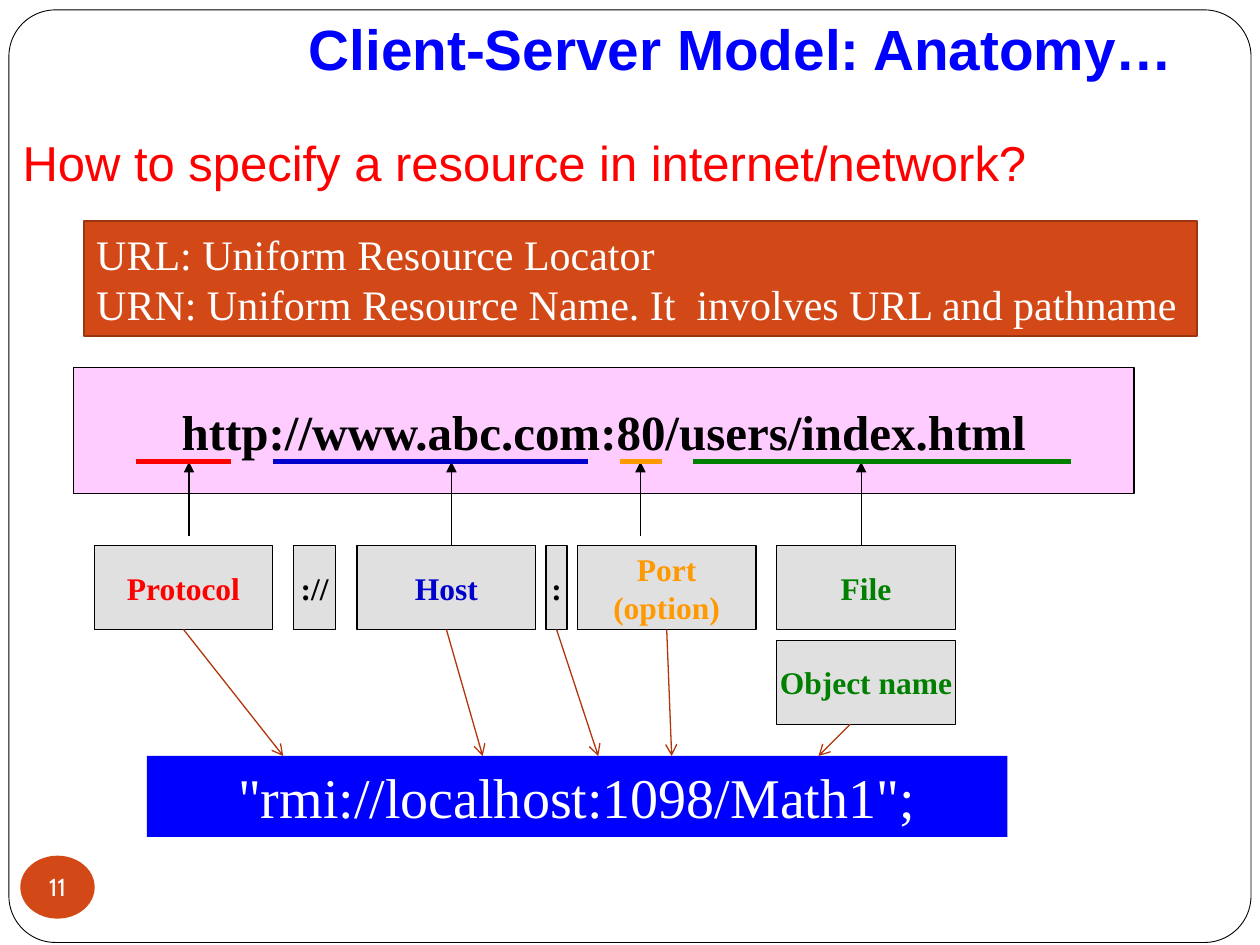
from dataclasses import dataclass

from lxml import etree
from pptx import Presentation
from pptx import util as u
from pptx.dml.color import RGBColor
from pptx.enum import shapes, text
from pptx.oxml.ns import qn


@dataclass(frozen=True)
class Theme:
    sans: str = "Arial"
    serif: str = "Times New Roman"
    badge_font: str = "Cabin"
    white: str = "FFFFFF"
    black: str = "000000"
    blue: str = "0000FF"
    red: str = "FF0000"
    host: str = "0000CC"
    port: str = "FF9900"
    file: str = "008000"
    pink: str = "FFCCFF"
    grey: str = "E1E0E0"
    rust: str = "D34817"
    rust_edge: str = "9C3511"
    rust_arrow: str = "B1360B"
    title_size: float = 32.4
    example_size: int = 32
    url_size: int = 28
    note_size: int = 24
    part_size: int = 18
    badge_size: int = 14
    thin: float = 0.75
    thick: float = 3


T = Theme()
ALIGN = text.PP_ALIGN
RECT = shapes.MSO_SHAPE.RECTANGLE


def rgb(value):
    return RGBColor.from_string(value)


def place(sp, box):
    sp.left, sp.top, sp.width, sp.height = map(u.Cm, box)


def set_text(sp, words, size, color, font=T.serif, bold=False, align=ALIGN.CENTER,
             anchor=text.MSO_ANCHOR.MIDDLE, wrap=True):
    tf = sp.text_frame
    tf.text = words
    tf.word_wrap = wrap
    tf.auto_size = text.MSO_AUTO_SIZE.NONE
    tf.vertical_anchor = anchor
    for p in tf.paragraphs:
        p.alignment = align
        for r in p.runs:
            r.font.name, r.font.size, r.font.bold = font, u.Pt(size), bold
            r.font.color.rgb = rgb(color)


def add_box(s, box, fill, line=None, width=T.thin, kind=RECT):
    sp = s.shapes.add_shape(kind, *map(u.Cm, box))
    sp.shadow.inherit = False
    sp.fill.solid()
    sp.fill.fore_color.rgb = rgb(fill)
    if line:
        sp.line.color.rgb = rgb(line)
        sp.line.width = u.Pt(width)
    else:
        sp.line.fill.background()
    return sp


def add_line(s, start, end, color, width=T.thin, head=None):
    c = s.shapes.add_connector(shapes.MSO_CONNECTOR.STRAIGHT, *map(u.Cm, start + end))
    c.line.color.rgb = rgb(color)
    c.line.width = u.Pt(width)
    if head:
        etree.SubElement(c.line._get_or_add_ln(), qn("a:tailEnd"), type=head)
    etree.SubElement(c._element.spPr, qn("a:effectLst"))
    return c


def add_frame(s, box):
    sp = add_box(s, box, T.white, T.black, 0.5, shapes.MSO_SHAPE.ROUNDED_RECTANGLE)
    sp.adjustments[0] = 0.05
    tree = s.shapes._spTree
    tree.remove(sp._element)
    tree.insert(2, sp._element)


def fill_title(s, box):
    sp = s.shapes.title
    place(sp, box)
    set_text(sp, "Client-Server Model: Anatomy…", T.title_size, T.blue, T.sans, True,
             ALIGN.RIGHT, text.MSO_ANCHOR.BOTTOM)
    sp.text_frame.margin_bottom = u.Cm(0.25)


def fill_question(s, box):
    sp = s.placeholders[1]
    place(sp, box)
    set_text(sp, "How to specify a resource in internet/network?", T.url_size, T.red,
             T.sans, align=ALIGN.LEFT, anchor=text.MSO_ANCHOR.TOP)
    p = sp.text_frame.paragraphs[0]
    p.space_before = u.Pt(5.8)
    pPr = p._p.get_or_add_pPr()
    pPr.set("marL", str(u.Cm(0.76)))
    pPr.set("indent", str(-u.Cm(0.76)))
    etree.SubElement(pPr, qn("a:buNone"))


def add_note(s, box):
    sp = add_box(s, box, T.rust, T.rust_edge, 1)
    set_text(sp, "URL: Uniform Resource Locator\n"
                 "URN: Uniform Resource Name. It  involves URL and pathname",
             T.note_size, T.white, align=ALIGN.LEFT)


def add_url(s, box):
    x, y, w, h = box
    sp = add_box(s, box, T.pink, T.black)
    set_text(sp, "http://www.abc.com:80/users/index.html", T.url_size, T.black,
             bold=True, wrap=False)
    base = y + 1.9
    marks = [(1.27, 3.18, 2.33, 3.39, T.red), (4.02, 10.37, 7.62, 3.59, T.host),
             (11.01, 11.86, 11.43, 3.39, T.port), (12.49, 20.11, 15.88, 3.59, T.file)]
    for left, right, stem, foot, color in marks:
        add_line(s, (x + stem, y + foot), (x + stem, base), T.black, head="triangle")
        add_line(s, (x + left, base), (x + right, base), color, T.thick)


def add_parts(s, box):
    x, y, w, h = box
    wide, gap = 3.6, 0.22
    parts = [("Protocol", 0, 0, wide, T.red), ("://", 4.02, 0, 0.85, T.black),
             ("Host", 5.3, 0, wide, T.host), (":", 9.11, 0, 0.42, T.black),
             ("Port\n(option)", 9.74, 0, wide, T.port), ("File", w - wide, 0, wide, T.file),
             ("Object name", w - wide, 1, wide, T.file)]
    row_h = (h - gap) / 2
    made = {}
    for words, left, row, width, color in parts:
        sp = add_box(s, (x + left, y + row * (row_h + gap), width, row_h), T.grey, T.black)
        set_text(sp, words, T.part_size, color, bold=True, wrap=False)
        made[words] = sp
    return made


def add_example(s, box, parts):
    x, y, w, h = box
    sp = add_box(s, box, T.blue)
    set_text(sp, '"rmi://localhost:1098/Math1";', T.example_size, T.white)
    for words, dx in [("Protocol", 2.75), ("Host", 6.77), (":", 9.1), ("Port\n(option)", 10.58)]:
        c = add_line(s, (x + dx, y - 2.5), (x + dx, y), T.rust_arrow, head="arrow")
        c.begin_connect(parts[words], 2)
    add_line(s, (x + 14.18, y - 0.64), (x + 13.54, y), T.rust_arrow, head="arrow")


def add_badge(s, box):
    sp = add_box(s, box, T.rust, kind=shapes.MSO_SHAPE.OVAL)
    set_text(sp, "11", T.badge_size, T.white, T.badge_font, wrap=False)
    tf = sp.text_frame
    tf.margin_left = tf.margin_right = tf.margin_top = tf.margin_bottom = 0


def main():
    prs = Presentation()
    prs.slide_width, prs.slide_height = u.Cm(25.4), u.Cm(19.05)
    s = prs.slides.add_slide(prs.slide_layouts[1])
    add_frame(s, (0.18, 0.2, 25.04, 18.8))
    fill_title(s, (4.01, 0.43, 19.89, 1.47))
    fill_question(s, (0.2, 2.54, 24.77, 1.7))
    add_note(s, (1.69, 4.45, 22.44, 2.33))
    add_url(s, (1.48, 7.41, 21.38, 2.54))
    parts = add_parts(s, (1.9, 11, 17.36, 3.6))
    add_example(s, (2.96, 15.24, 17.35, 1.63), parts)
    add_badge(s, (0.41, 17.25, 1.5, 1.27))
    prs.save("out.pptx")


if __name__ == "__main__":
    main()
